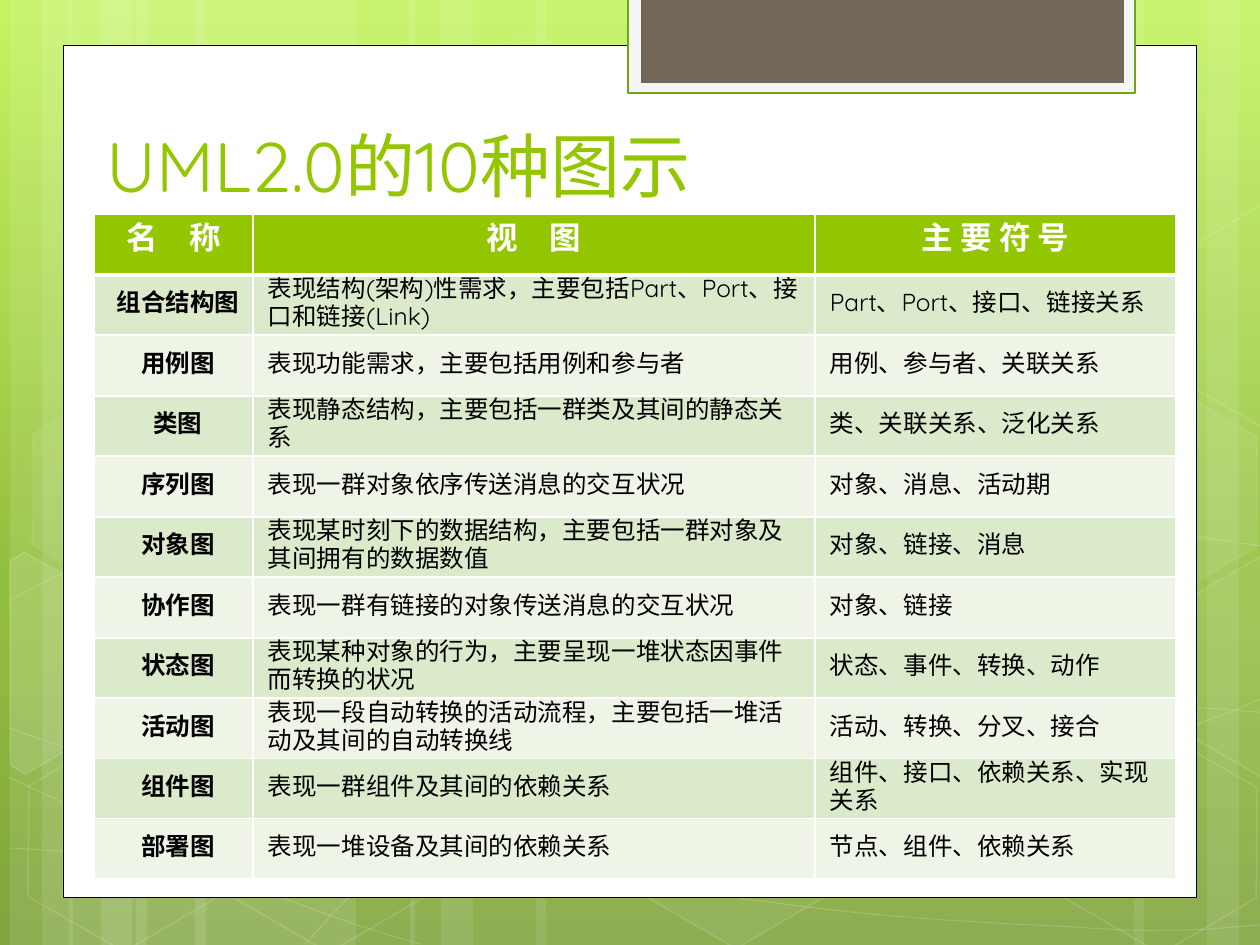
import copy
import math

import lxml.etree
import pptx
import pptx.dml.color
import pptx.enum.shapes
import pptx.enum.text
import pptx.oxml.ns
import pptx.util

EMU_PER_PX = 914400 / 126
THEME = {
    "font": "Quicksand",
    "title_size": 40, "header_size": 18, "body_size": 14, "line_spacing": 16,
    "white": "FFFFFF", "black": "000000", "green": "94C600",
    "tab_fill": "71685A", "tab_frame": "F5F5F5", "tab_line": "74A510",
    "bands": ["DCEACC", "EEF5E7"],
    "backdrop": [(0, "C3F35F"), (0.62, "93BF3F"), (1, "81A53E")],
}
rgb = pptx.dml.color.RGBColor.from_string
qn = pptx.oxml.ns.qn
SHAPE = pptx.enum.shapes.MSO_SHAPE
ALIGN = pptx.enum.text.PP_ALIGN


def px(*lengths):
    return [pptx.util.Emu(round(length * EMU_PER_PX)) for length in lengths]


def paint(shape, fill=None, line=None, width=1, fill_alpha=100, line_alpha=100):
    """Set fill and line (None means none); alphas are percentages."""
    shape.shadow.inherit = False
    if line:
        shape.line.width = pptx.util.Pt(width)
    for target, color, alpha, place in ((shape.fill, fill, fill_alpha, "a:solidFill"),
                                        (shape.line.fill, line, line_alpha, "a:ln/a:solidFill")):
        if color is None:
            target.background()
            continue
        target.solid()
        target.fore_color.rgb = rgb(color)
        if alpha < 100:
            color_tag = shape._element.spPr.find("/".join(map(qn, place.split("/"))))[0]
            lxml.etree.SubElement(color_tag, qn("a:alpha")).set("val", str(alpha * 1000))


deck = pptx.Presentation()
deck.slide_width, deck.slide_height = px(1260, 945)
page = deck.slides.add_slide(deck.slide_layouts[5])
shapes = page.shapes

# Background gradient, top to bottom
backdrop = page.background.fill
backdrop.gradient()
backdrop.gradient_angle = 270
stop_list = page._element.find(".//" + qn("a:gsLst"))
stop_list.insert(1, copy.deepcopy(stop_list[0]))
for stop, (position, color) in zip(backdrop.gradient_stops, THEME["backdrop"]):
    stop.position = position
    stop.color.rgb = rgb(color)

# Translucent vertical streaks: left, width
streaks = [(136, 220), (10, 63), (42, 105), (195, 220), (69, 63), (101, 105),
           (924, 220), (1207, 63), (1134, 105), (536, 388), (410, 63), (441, 105)]
for left, width in streaks:
    streak = shapes.add_shape(SHAPE.RECTANGLE, *px(left, 0, width, 945))
    paint(streak, THEME["white"], fill_alpha=10)

# Sweeping curves: start point, then cubic segments
curves = [
    [(9, 848), (77, 852, 145, 856, 239, 854), (334, 853, 451, 851, 577, 838),
     (703, 825, 882, 801, 998, 777), (1113, 753, 1231, 717, 1269, 694)],
    [(9, 601), (45, 581, 82, 562, 152, 543), (224, 524, 326, 496, 437, 488),
     (549, 479, 685, 478, 824, 488), (963, 498, 1193, 537, 1269, 547)],
    [(8, 777), (160, 847, 311, 916, 421, 944)],
    [(9, 728), (48, 742, 88, 756, 161, 776), (234, 795, 344, 827, 450, 848),
     (554, 869, 687, 892, 791, 905), (896, 919, 1008, 924, 1075, 927),
     (1140, 932, 1158, 930, 1191, 930), (1223, 929, 1246, 925, 1269, 925)],
    [(305, 944), (328, 919, 350, 893, 381, 871), (411, 848, 454, 823, 489, 805),
     (524, 788, 546, 780, 592, 767), (638, 754, 722, 737, 766, 728),
     (811, 720, 818, 720, 857, 717), (896, 713, 958, 709, 1000, 708),
     (1045, 707, 1116, 708, 1116, 708), (1116, 708, 1201, 708, 1201, 708),
     (1223, 709, 1245, 711, 1256, 712), (1268, 713, 1264, 712, 1268, 713)],
]
for start, *segments in curves:
    builder = shapes.build_freeform(*start, scale=EMU_PER_PX)
    for segment in segments:
        builder.add_line_segments(zip(segment[::2], segment[1::2]), close=False)
    curve = builder.convert_to_shape()
    # Every three line points become one cubic segment
    outline = curve._element.find(".//" + qn("a:path"))
    lines = outline.findall(qn("a:lnTo"))
    for first in range(0, len(lines), 3):
        cubic = lxml.etree.SubElement(outline, qn("a:cubicBezTo"))
        for line in lines[first:first + 3]:
            cubic.append(line[0])
            outline.remove(line)
    paint(curve, None, THEME["white"], 0.5, line_alpha=20)

# Whole hexagons: left, top, fill alpha (0 is no fill), line alpha
hexagons = [(421, 45, 4, 8), (626, 742, 6, 12), (14, 745, 0, 12), (18, 393, 7, 8),
            (219, 746, 0, 12), (949, 571, 10, 12), (1051, 747, 0, 12), (1051, 396, 7, 8)]
for left, top, fill_alpha, line_alpha in hexagons:
    hexagon = shapes.add_shape(SHAPE.HEXAGON, *px(left, top, 220, 192))
    hexagon.adjustments[0] = 0.285
    hexagon.rotation = 30
    paint(hexagon, THEME["white"] if fill_alpha else None, THEME["white"], 1,
          fill_alpha, line_alpha)

# Hexagons cut off by the slide edges: fill alpha, centre, outline as seen
cut_hexagons = [
    (10, (45, 674), [(10, 561), (24, 552), (121, 607), (120, 718), (25, 774), (10, 765)]),
    (4, (1241, 655), [(1167, 611), (1261, 556), (1271, 562), (1271, 772), (1263, 777), (1167, 722)]),
    (0, (1241, 304), [(1167, 261), (1261, 205), (1272, 212), (1271, 422), (1263, 427), (1167, 372)]),
]
cosine, sine = math.cos(math.radians(30)), math.sin(math.radians(30))
for fill_alpha, (cx, cy), corners in cut_hexagons:
    # Turn the outline back, as the shape itself is rotated
    start, *others = [(round(cx + (x - cx) * cosine + (y - cy) * sine),
                       round(cy - (x - cx) * sine + (y - cy) * cosine)) for x, y in corners]
    builder = shapes.build_freeform(*start, scale=EMU_PER_PX)
    builder.add_line_segments(others, close=True)
    hexagon = builder.convert_to_shape()
    hexagon.rotation = 30
    paint(hexagon, THEME["white"] if fill_alpha else None, THEME["white"], 1, fill_alpha, 12)

# White page panel and the tab at its top
panels = [((63, 45, 1134, 853), "white", "black", 0.5),
          ((628, -3, 507, 96), "tab_frame", "tab_line", 1.25),
          ((641, -3, 483, 86), "tab_fill", None, 1)]
for bounds, fill, line, width in panels:
    panel = shapes.add_shape(SHAPE.RECTANGLE, *px(*bounds))
    paint(panel, THEME[fill], THEME[line] if line else None, width)

# Title, brought in front of the panels
title = shapes.title
shapes._spTree.append(title._element)
title.left, title.top, title.width, title.height = px(94, 55, 967, 158)
title.text_frame.text = "UML2.0的10种图示"
title.text_frame.auto_size = pptx.enum.text.MSO_AUTO_SIZE.NONE
title.text_frame.vertical_anchor = pptx.enum.text.MSO_ANCHOR.BOTTOM
para = title.text_frame.paragraphs[0]
para.alignment = ALIGN.LEFT
font = para.runs[0].font
font.name, font.size = THEME["font"], pptx.util.Pt(THEME["title_size"])
font.color.rgb = rgb(THEME["green"])

# Table of diagram types
rows = [
    ("名　称", "视　图", "主 要 符 号"),
    ("组合结构图", "表现结构(架构)性需求，主要包括Part、Port、接口和链接(Link)", "Part、Port、接口、链接关系"),
    ("用例图", "表现功能需求，主要包括用例和参与者", "用例、参与者、关联关系"),
    ("类图", "表现静态结构，主要包括一群类及其间的静态关系", "类、关联关系、泛化关系"),
    ("序列图", "表现一群对象依序传送消息的交互状况", "对象、消息、活动期"),
    ("对象图", "表现某时刻下的数据结构，主要包括一群对象及其间拥有的数据数值", "对象、链接、消息"),
    ("协作图", "表现一群有链接的对象传送消息的交互状况", "对象、链接"),
    ("状态图", "表现某种对象的行为，主要呈现一堆状态因事件而转换的状况", "状态、事件、转换、动作"),
    ("活动图", "表现一段自动转换的活动流程，主要包括一堆活动及其间的自动转换线", "活动、转换、分叉、接合"),
    ("组件图", "表现一群组件及其间的依赖关系", "组件、接口、依赖关系、实现关系"),
    ("部署图", "表现一堆设备及其间的依赖关系", "节点、组件、依赖关系"),
]
widths = [159, 562, 361]
height = 665
table = shapes.add_table(len(rows), len(widths), *px(94, 214, sum(widths), height)).table
for column, width in zip(table.columns, widths):
    column.width = px(width)[0]
for r, texts in enumerate(rows):
    top, bottom = (math.ceil(height * edge / len(rows)) for edge in (r, r + 1))
    table.rows[r].height = px(bottom - top)[0]
    for c, text in enumerate(texts):
        cell = table.cell(r, c)
        cell.text_frame.text = text
        cell.vertical_anchor = pptx.enum.text.MSO_ANCHOR.MIDDLE
        right = 16 if r and c == 1 else 6
        cell.margin_left, cell.margin_top, cell.margin_right, cell.margin_bottom = px(6, 0, right, 0)
        properties = cell._tc.get_or_add_tcPr()
        for side in "LRTB":
            heavy = (r, side) in ((0, "B"), (1, "T"))
            border = lxml.etree.SubElement(properties, qn("a:ln" + side))
            border.set("w", str(pptx.util.Pt(3 if heavy else 1)))
            border_fill = lxml.etree.SubElement(border, qn("a:solidFill"))
            lxml.etree.SubElement(border_fill, qn("a:srgbClr")).set("val", THEME["white"])
        cell.fill.solid()
        cell.fill.fore_color.rgb = rgb(THEME["bands"][(r - 1) % 2] if r else THEME["green"])
        para = cell.text_frame.paragraphs[0]
        centred = r == 0 or c == 0
        para.alignment = ALIGN.CENTER if centred else ALIGN.LEFT
        para.line_spacing = pptx.util.Pt(THEME["line_spacing"])
        if r:
            para._p.get_or_add_pPr().set("marL", str(px(9)[0]))
        font = para.runs[0].font
        font.name, font.bold = THEME["font"], centred
        font.size = pptx.util.Pt(THEME["body_size"] if r else THEME["header_size"])
        font.color.rgb = rgb(THEME["black"] if r else THEME["white"])

deck.save("out.pptx")
